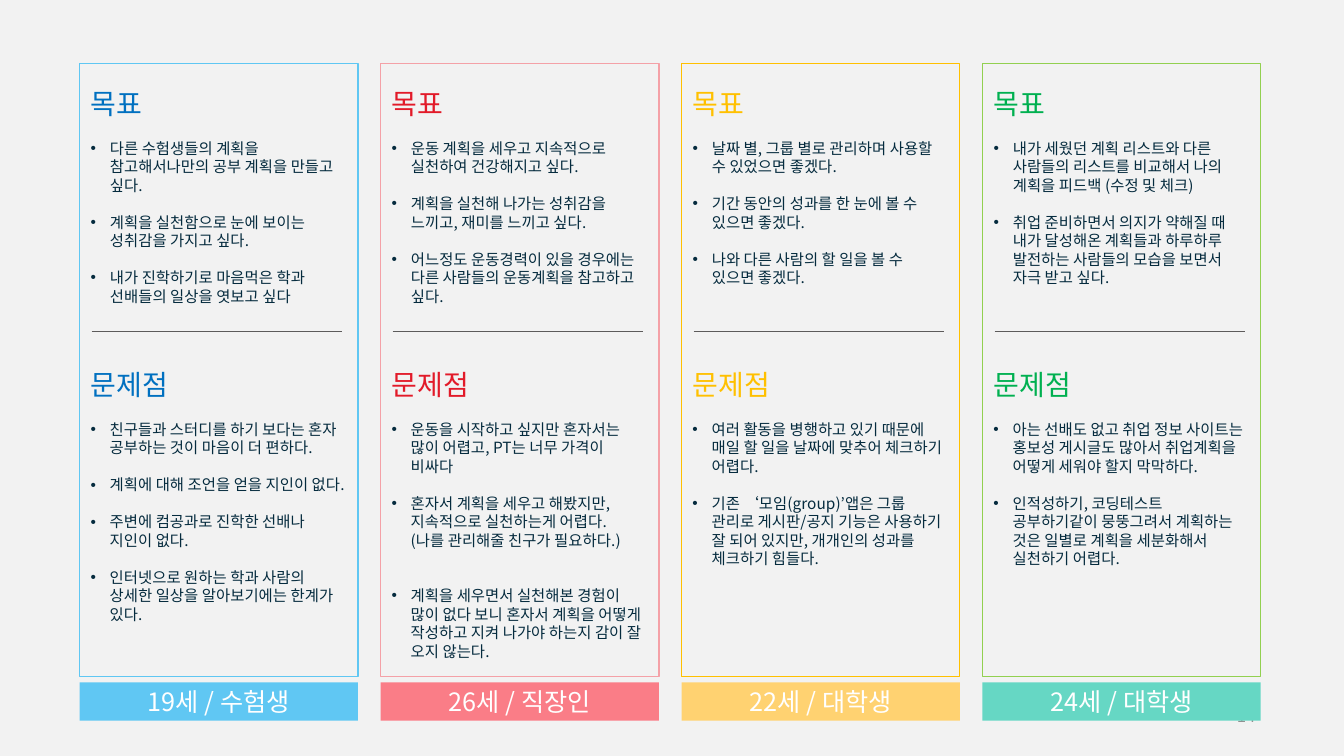
from dataclasses import dataclass
from lxml import etree
from pptx import Presentation
from pptx.dml.color import RGBColor
from pptx.enum.shapes import MSO_CONNECTOR, MSO_SHAPE
from pptx.enum.text import MSO_ANCHOR, MSO_AUTO_SIZE, PP_ALIGN
from pptx.oxml.ns import qn
from pptx.util import Inches, Pt

RECT, LINE = MSO_SHAPE.RECTANGLE, MSO_CONNECTOR.STRAIGHT
TOP, MIDDLE = MSO_ANCHOR.TOP, MSO_ANCHOR.MIDDLE
LEFT, CENTER, RIGHT = PP_ALIGN.LEFT, PP_ALIGN.CENTER, PP_ALIGN.RIGHT
FIXED = MSO_AUTO_SIZE.NONE


@dataclass(frozen=True)
class Theme:
    font: str = "Noto Sans CJK KR"
    back: str = "F2F2F2"
    ink: str = "052B3E"
    rule: str = "5D5B5B"
    page: str = "919191"
    white: str = "FFFFFF"
    head: int = 20
    label: int = 18
    note: int = 12
    body: int = 11
    lead: float = 1.2  # line height as a share of type size


THEME = Theme()

# Grid in inches: four equal columns, and the rows of each column
COL_X, PITCH, COL_W = 0.79, 2.985, 2.76
CARD_Y, CARD_H = 0.63, 6.08
GOAL_Y, GOAL_H = 0.66, 2.52
RULE_Y = 3.29
ISSUE_Y, ISSUE_H = 3.45, 3.15
BAR_Y, BAR_H = 6.77, 0.38
TEXT_W, RULE_IN, RULE_W = 2.73, 0.12, 2.48
HANG = 0.19

# An item given as (text, lines) has that many blank lines of space above it.
PEOPLE = [
    dict(label="19세 / 수험생", head="0070C0", edge="60C7F3", bar="60C7F3",
         goals=["다른 수험생들의 계획을 참고해서나만의 공부 계획을 만들고 싶다.",
                "계획을 실천함으로 눈에 보이는 성취감을 가지고 싶다.",
                "내가 진학하기로 마음먹은 학과 선배들의 일상을 엿보고 싶다"],
         issues=["친구들과 스터디를 하기 보다는 혼자 공부하는 것이 마음이 더 편하다.",
                 "계획에 대해 조언을 얻을 지인이 없다.",
                 "주변에 컴공과로 진학한 선배나 지인이 없다.",
                 "인터넷으로 원하는 학과 사람의\v상세한 일상을 알아보기에는 한계가 있다."]),
    dict(label="26세 / 직장인", head="E21A29", edge="F4A1A7", bar="FA7D87",
         goals=["운동 계획을 세우고 지속적으로 실천하여 건강해지고 싶다.",
                "계획을 실천해 나가는 성취감을 느끼고, 재미를 느끼고 싶다.",
                "어느정도 운동경력이 있을 경우에는 다른 사람들의 운동계획을 참고하고 싶다."],
         issues=["운동을 시작하고 싶지만 혼자서는 많이 어렵고, PT는 너무 가격이 비싸다",
                 "혼자서 계획을 세우고 해봤지만, 지속적으로 실천하는게 어렵다.\v"
                 "(나를 관리해줄 친구가 필요하다.)",
                 ("계획을 세우면서 실천해본 경험이 많이 없다 보니 혼자서 계획을 어떻게 "
                  "작성하고 지켜 나가야 하는지 감이 잘 오지 않는다.", 2)]),
    dict(label="22세 / 대학생", head="FFC000", edge="FFC000", bar="FFD271",
         goals=["날짜 별, 그룹 별로 관리하며 사용할 수 있었으면 좋겠다.",
                "기간 동안의 성과를 한 눈에 볼 수 있으면 좋겠다.",
                "나와 다른 사람의 할 일을 볼 수 있으면 좋겠다."],
         issues=["여러 활동을 병행하고 있기 때문에 매일 할 일을 날짜에 맞추어 체크하기 어렵다.",
                 "기존 ‘모임(group)’앱은 그룹 관리로 게시판/공지 기능은 "
                 "사용하기 잘 되어 있지만, 개개인의 성과를 체크하기 힘들다."]),
    dict(label="24세 / 대학생", head="00B050", edge="92D050", bar="66D7C4",
         goals=["내가 세웠던 계획 리스트와 다른 사람들의 리스트를 비교해서 나의 "
                "계획을 피드백 (수정 및 체크)",
                "취업 준비하면서 의지가 약해질 때 내가 달성해온 계획들과 하루하루 "
                "발전하는 사람들의 모습을 보면서 자극 받고 싶다."],
         issues=["아는 선배도 없고 취업 정보 사이트는 홍보성 게시글도 많아서 취업계획을 "
                 "어떻게 세워야 할지 막막하다.",
                 "인적성하기, 코딩테스트 공부하기같이 뭉뚱그려서 계획하는 것은 일별로 "
                 "계획을 세분화해서 실천하기 어렵다."]),
]


def tint(code):
    return RGBColor.from_string(code)


def apply(target, values):
    for name, value in values.items():
        setattr(target, name, value)


def place(shape, *box):
    apply(shape, dict(zip(("left", "top", "width", "height"), map(Inches, box))))


def write(para, text, size, color, **format):
    """Set the text of a paragraph and style every run, Korean included."""
    para.text = text
    apply(para, format)
    for run in para.runs:
        run.font.color.rgb = tint(color)
        apply(run.font, dict(name=THEME.font, size=Pt(size), bold=False))
        etree.SubElement(run.font._element, qn("a:ea"), typeface=THEME.font)


def mark(para, sign=None):
    """Give a paragraph a hanging bullet, or none."""
    props = para._p.get_or_add_pPr()
    hang = Inches(HANG) if sign else 0
    props.set("marL", str(hang))
    props.set("indent", str(-hang))
    if sign:
        etree.SubElement(props, qn("a:buFont"), typeface="Arial")
        etree.SubElement(props, qn("a:buChar"), char=sign)
    else:
        etree.SubElement(props, qn("a:buNone"))


def fill_list(shape, head, items, color):
    """Write a coloured heading and its bulleted items."""
    frame = shape.text_frame
    apply(frame, dict(word_wrap=True, auto_size=FIXED, vertical_anchor=TOP,
                      margin_left=Inches(0.1), margin_top=Inches(0.2),
                      margin_right=Inches(0.1), margin_bottom=Inches(0.05)))
    para = frame.paragraphs[0]
    mark(para)
    write(para, head, THEME.head, color, alignment=LEFT, space_before=Pt(0),
          line_spacing=Pt(THEME.head * THEME.lead))
    step = THEME.body * THEME.lead
    for item in items:
        text, gap = item if isinstance(item, tuple) else (item, 1)
        para = frame.add_paragraph()
        mark(para, "•")
        write(para, text, THEME.body, THEME.ink, alignment=LEFT,
              space_before=Pt(step * gap), line_spacing=Pt(step))


def add_box(slide, box, fill=None, edge=None):
    shape = slide.shapes.add_shape(RECT, *map(Inches, box))
    shape.shadow.inherit = False
    if fill:
        shape.fill.solid()
        shape.fill.fore_color.rgb = tint(fill)
    else:
        shape.fill.background()
    if edge:
        shape.line.color.rgb = tint(edge)
        shape.line.width = Pt(1)
    else:
        shape.line.fill.background()
    return shape


def add_rule(slide, x, y, width):
    line = slide.shapes.add_connector(LINE, *map(Inches, (x, y, x + width, y)))
    line.line.color.rgb = tint(THEME.rule)
    line.line.width = Pt(0.5)
    etree.SubElement(line._element.spPr, qn("a:effectLst"))


def add_page(slide, number):
    note = slide.shapes.add_textbox(*map(Inches, (9.55, 6.9, 3, 0.4)))
    apply(note.text_frame, dict(word_wrap=True, vertical_anchor=MIDDLE))
    write(note.text_frame.paragraphs[0], number, THEME.note, THEME.page,
          alignment=RIGHT)


def add_person(slide, slot, x, who):
    """Draw one column: goals, problems, frame, divider and label."""
    place(slot, x + 0.01, GOAL_Y, TEXT_W, GOAL_H)
    fill_list(slot, "목표", who["goals"], who["head"])
    issue = slide.shapes.add_textbox(
        *map(Inches, (x + 0.01, ISSUE_Y, TEXT_W, ISSUE_H)))
    fill_list(issue, "문제점", who["issues"], who["head"])
    add_box(slide, (x, CARD_Y, COL_W, CARD_H), edge=who["edge"])
    add_rule(slide, x + RULE_IN, RULE_Y, RULE_W)
    bar = add_box(slide, (x, BAR_Y, COL_W, BAR_H), fill=who["bar"])
    bar.text_frame.vertical_anchor = MIDDLE
    write(bar.text_frame.paragraphs[0], who["label"], THEME.label, THEME.white,
          alignment=CENTER)


def main():
    deck = Presentation()
    apply(deck, dict(slide_width=Inches(13.33), slide_height=Inches(7.5)))
    slide = deck.slides.add_slide(deck.slide_layouts.get_by_name("Comparison"))
    slide.background.fill.solid()
    slide.background.fill.fore_color.rgb = tint(THEME.back)
    title, *slots = slide.placeholders
    title._element.getparent().remove(title._element)
    add_page(slide, "14")
    for i, (slot, who) in enumerate(zip(slots, PEOPLE)):
        add_person(slide, slot, COL_X + i * PITCH, who)
    deck.save("out.pptx")


if __name__ == "__main__":
    main()
